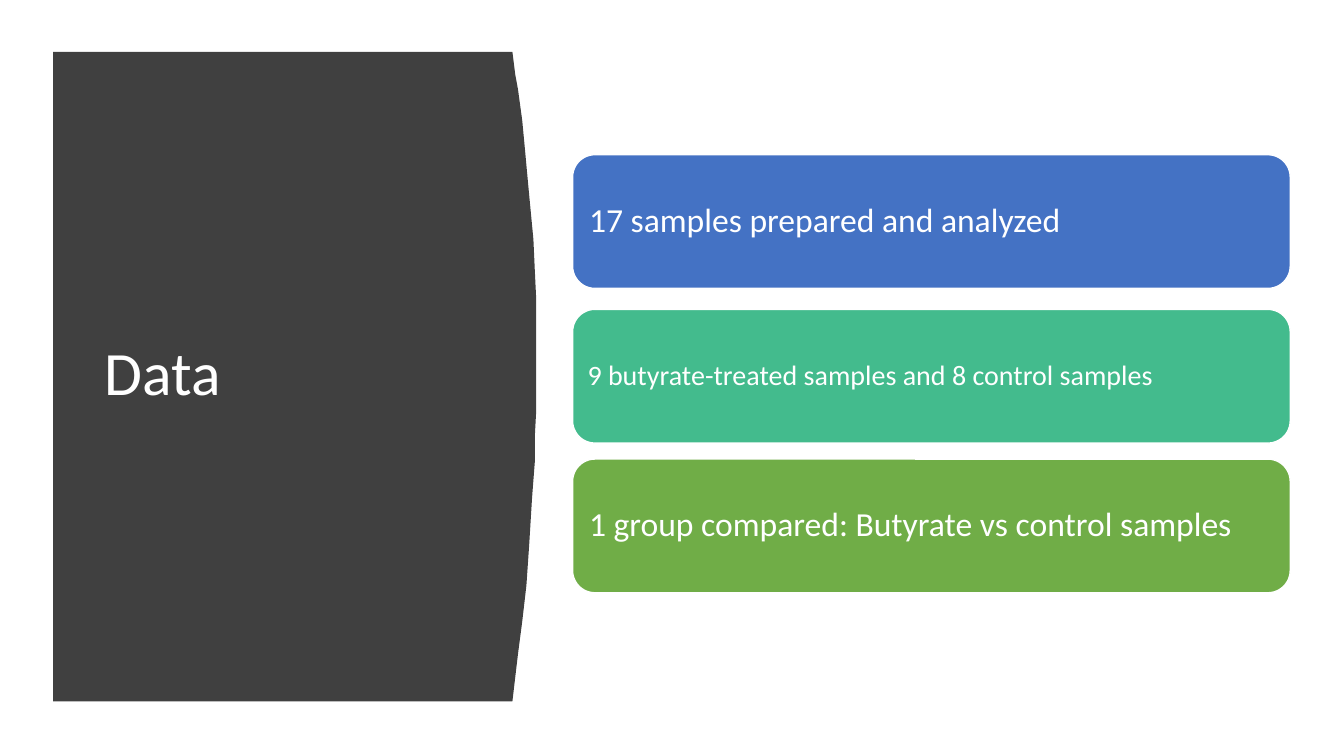
from pptx import Presentation
from pptx.dml.color import RGBColor
from pptx.enum import shapes, text
from pptx.util import Pt

WHITE = RGBColor(0xFF, 0xFF, 0xFF)
CHARCOAL = RGBColor(0x40, 0x40, 0x40)
BLUE = RGBColor(0x44, 0x72, 0xC4)
TEAL = RGBColor(0x43, 0xBB, 0x8D)
GREEN = RGBColor(0x70, 0xAD, 0x47)


def write_text(shape, wording, size):
    frame = shape.text_frame
    frame.word_wrap = True
    frame.auto_size = text.MSO_AUTO_SIZE.NONE
    frame.vertical_anchor = text.MSO_ANCHOR.MIDDLE
    para = frame.paragraphs[0]
    para.text = wording
    para.alignment = text.PP_ALIGN.LEFT
    para.line_spacing = 0.9
    para.font.name = "Calibri"
    para.font.size = Pt(size)
    para.font.color.rgb = WHITE


deck = Presentation()
deck.slide_width, deck.slide_height = Pt(960), Pt(540)
page = deck.slides.add_slide(deck.slide_layouts[5])

# Title
title = page.shapes.title
title.left, title.top, title.width, title.height = Pt(67.7), Pt(80), Pt(269), Pt(377)
write_text(title, "Data", 44)

# Dark panel with a bowed right edge, placed behind the title
PANEL_LEFT, PANEL_TOP, PANEL_BOTTOM = 38.2, 37.3, 501.1
BOWED_EDGE = [
    (365.8, PANEL_TOP), (368, 53.3), (370.1, 64.1), (373, 85.7),
    (375.1, 107.3), (377.3, 128.9), (379.4, 150.5), (380.9, 171.4),
    (381.9, 193), (382.6, 213.8), (383, 234), (383.2, 254.2),
    (383.1, 273.6), (382.7, 293), (382.2, 311.8), (381.5, 329.8),
    (380.2, 356.4), (378, 388.8), (375.5, 418.3), (373, 444.2),
    (370.1, 466.6), (368, 483.8), (365.8, PANEL_BOTTOM),
]
outline = page.shapes.build_freeform(PANEL_LEFT, PANEL_TOP, scale=Pt(1))
outline.add_line_segments(BOWED_EDGE + [(PANEL_LEFT, PANEL_BOTTOM)], close=True)
panel = outline.convert_to_shape()
panel.shadow.inherit = False
panel.fill.solid()
panel.fill.fore_color.rgb = CHARCOAL
panel.line.fill.background()
title.element.addprevious(panel.element)

# Cards: top, colour, wording, text size, inset
CARDS = [
    (110.5, BLUE, "17 samples prepared and analyzed", 24, 7.2),
    (221, TEAL, "9 butyrate-treated samples and 8 control samples", 20, 6),
    (327.9, GREEN, "1 group compared: Butyrate vs control samples", 24, 7.2),
]
for top, colour, wording, size, inset in CARDS:
    card = page.shapes.add_shape(
        shapes.MSO_SHAPE.ROUNDED_RECTANGLE, Pt(409), Pt(top), Pt(512.6), Pt(95.5))
    card.shadow.inherit = False
    card.fill.solid()
    card.fill.fore_color.rgb = colour
    card.line.color.rgb = WHITE
    card.line.width = Pt(1)
    write_text(card, wording, size)
    frame = card.text_frame
    frame.margin_left = frame.margin_right = Pt(inset)
    frame.margin_top = frame.margin_bottom = Pt(inset)

deck.save("out.pptx")
